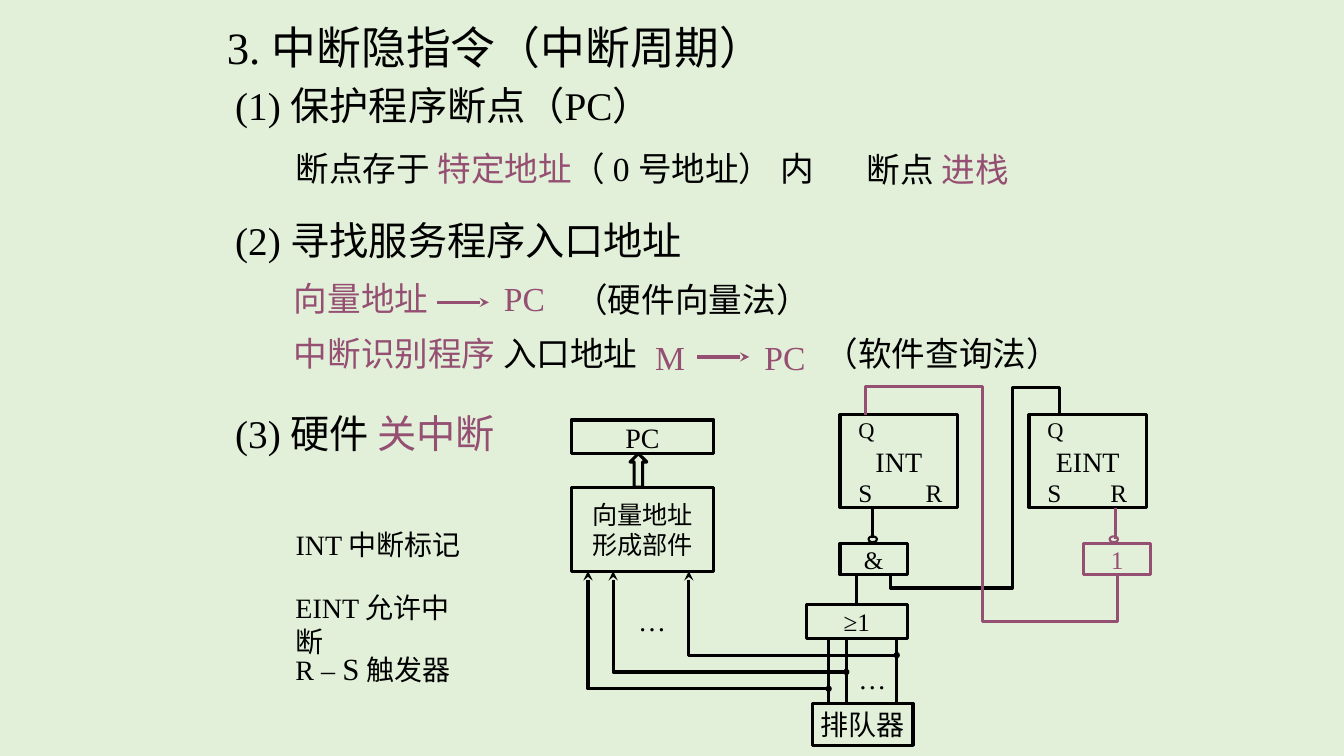
from lxml.etree import SubElement
from pptx import Presentation
from pptx.dml.color import RGBColor
from pptx.enum.shapes import MSO_CONNECTOR as Link, MSO_SHAPE as Shape
from pptx.enum.text import MSO_ANCHOR as Anchor, MSO_AUTO_SIZE as Fit, PP_ALIGN as Align
from pptx.oxml.ns import qn
from pptx.util import Inches, Pt

COLUMNS, ROWS = 160, 90
CELL = Inches(7.5) / ROWS
INK, ACCENT, PAPER = "000000", "954F72", "E2F0D9"
INSET = Inches(0.05)
HEADING = dict(vertical_anchor=Anchor.MIDDLE, word_wrap=False, auto_size=Fit.NONE,
               margin_left=0, margin_right=0, margin_top=INSET, margin_bottom=INSET)
CENTRED = HEADING | dict(margin_top=0, margin_bottom=0)
LABEL = dict(word_wrap=False, auto_size=Fit.SHAPE_TO_FIT_TEXT)
WRAPPED = LABEL | dict(word_wrap=True)
ARROW = dict(type="stealth")
JUNCTION = dict(type="oval", w="sm", len="sm")


def rgb(value):
    return RGBColor.from_string(value)


def write(frame, layout, size, lines, align=Align.LEFT):
    for name, value in layout.items():
        setattr(frame, name, value)
    for index, line in enumerate(lines):
        paragraph = frame.add_paragraph() if index else frame.paragraphs[0]
        paragraph.alignment = align
        for words, ink, *own_size in line:
            run = paragraph.add_run()
            run.text = words
            for name, value in dict(name="Times New Roman", size=Pt((own_size or [size])[0])).items():
                setattr(run.font, name, value)
            run.font.color.rgb = rgb(ink)


deck = Presentation()
deck.slide_width, deck.slide_height = round(COLUMNS * CELL), round(ROWS * CELL)
slide = deck.slides.add_slide(deck.slide_layouts[5])
slide.background.fill.solid()
slide.background.fill.fore_color.rgb = rgb(PAPER)
shapes = slide.shapes

title = shapes.title
for side, cells in dict(left=27, top=2, width=79, height=7).items():
    setattr(title, side, round(cells * CELL))
write(title.text_frame, HEADING, 32, [[("3. 中断隐指令（中断周期）", INK)]])

texts = [
    ((28, 9, 79, 7), HEADING, 28, [("(1) 保护程序断点（PC）", INK)]),
    ((28, 25, 79, 7), HEADING, 28, [("(2) 寻找服务程序入口地址", INK)]),
    ((28, 47, 35, 9), HEADING, 28, [("(3) 硬件 ", INK), ("关中断", ACCENT)]),
    ((34, 17, 70, 6), WRAPPED, 24,
     [("断点存于 ", INK), ("特定地址", ACCENT), ("（ 0 号地址） 内", INK)]),
    ((102, 17.1, 28, 6), WRAPPED, 24, [("断点 ", INK), ("进栈", ACCENT)]),
    ((35, 32, 17, 7), HEADING, 24, [("向量地址", ACCENT)]),
    ((60, 32, 6, 7), HEADING, 24, [("PC", ACCENT)]),
    ((67.2, 32.6, 56, 6), WRAPPED, 24, [("（硬件向量法）", INK)]),
    ((35, 38.5, 42, 7), HEADING, 24, [("中断识别程序 ", ACCENT), ("入口地址", INK)]),
    ((78, 39, 6, 7), HEADING, 24, [("M", ACCENT)]),
    ((91, 39, 6, 7), HEADING, 24, [("PC", ACCENT)]),
    ((97, 39, 56, 6), WRAPPED, 24, [("（软件查询法）", INK)]),
    ((34, 62.2, 22.5, 5.2), WRAPPED, 20, [("INT 中断标记", INK)]),
    ((34, 69.7, 24, 5.2), WRAPPED, 20, [("EINT 允许中断", INK)]),
    ((34, 76.8, 21.1, 5.6), WRAPPED, 20, [("R – ", INK), ("S", INK, 22), (" 触发器", INK)]),
    ((74.8, 71.2, 5.8, 5.2), LABEL, 20, [("…", INK)]),
    ((101, 78.2, 5.8, 5.2), LABEL, 20, [("…", INK)]),
]
for register_left, reset_offset in [(100, 9), (122.5, 8.5)]:
    for pin, offset, top, size in [("Q", 1, 49, 16), ("S", 1, 56.2, 18), ("R", reset_offset, 56.2, 18)]:
        texts.append(((register_left + offset, top, 4.5, 4.7), LABEL, size, [(pin, INK)]))

blocks = [
    (Shape.RECTANGLE, (68, 50, 17, 4), INK, 20, ["PC"]),
    (Shape.RECTANGLE, (68, 58, 17, 10), INK, 18, ["向量地址", "形成部件"]),
    (Shape.RECTANGLE, (100, 49.4, 14, 11), INK, 20, ["INT"]),
    (Shape.RECTANGLE, (122.5, 49.4, 14, 11), INK, 20, ["EINT"]),
    (Shape.RECTANGLE, (100, 64.7, 8, 3.7), INK, 18, ["&"]),
    (Shape.RECTANGLE, (129, 64.7, 8, 3.7), ACCENT, 18, ["1"]),
    (Shape.RECTANGLE, (96.7, 83.75, 12, 5), INK, 20, ["排队器"]),
    (Shape.UP_ARROW, (75, 54, 2, 4), INK, 18, []),
    (Shape.OVAL, (103.4, 63.85, 1, 0.7), INK, 18, []),
    (Shape.OVAL, (132.1, 63.85, 1, 0.7), ACCENT, 18, []),
    (Shape.RECTANGLE, (96, 72, 12, 4), INK, 18, ["≥1"]),
]
for outline, place, ink, size, lines in blocks:
    block = shapes.add_shape(outline, *[round(cells * CELL) for cells in place])
    block.shadow.inherit = False
    block.fill.background()
    block.line.color.rgb = rgb(ink)
    block.line.width = Pt(1.5 if outline == Shape.OVAL else 2.25)
    write(block.text_frame, CENTRED, size, [[(line, ink)] for line in lines], Align.CENTER)
or_gate = block

wires = [
    ([(52, 36), (58.2, 36)], ACCENT, None, ARROW),
    ([(83, 42.5), (89.2, 42.5)], ACCENT, None, ARROW),
    ([(103.9, 60.4), (103.9, 64.1)], INK, None, None),
    ([(132.8, 60.5), (132.8, 64.2)], ACCENT, None, None),
    ([(106, 68.4), (106, 70), (120.5, 70), (120.5, 46.1), (126.1, 46.1), (126.1, 49.4)], INK, None, None),
    ([(133, 68.5), (133, 74), (117, 74), (117, 46), (103, 46), (103, 49.4)], ACCENT, None, None),
]
for request, (source, queue_column) in enumerate([(82, 106.75), (73, 100.75), (70, 98.65)]):
    row = 78 + 2 * request
    wires.append(([(source, 68), (source, row), (queue_column, row)], INK, ARROW, JUNCTION))
    wires.append(([(queue_column, 76), (queue_column, 83.75)], INK, None, None))
wires.append(([(102, 68.4), (102, 72)], INK, None, None))

for route, ink, head, tail in wires:
    points = [(round(x * CELL), round(y * CELL)) for x, y in route]
    if len(points) == 2:
        wire = shapes.add_connector(Link.STRAIGHT, *points[0], *points[1])
    else:
        builder = shapes.build_freeform(*points[0])
        builder.add_line_segments(points[1:], close=False)
        wire = builder.convert_to_shape()
        wire.fill.background()
    wire.line.color.rgb = rgb(ink)
    wire.line.width = Pt(2.25)
    properties = wire._element.spPr
    for tag, ending in [("a:headEnd", head), ("a:tailEnd", tail)]:
        if ending:
            SubElement(properties.find(qn("a:ln")), qn(tag), ending)
    SubElement(properties, qn("a:effectLst"))
wire.end_connect(or_gate, 0)

for place, layout, size, line in texts:
    box = shapes.add_textbox(*[round(cells * CELL) for cells in place])
    write(box.text_frame, layout, size, [line])

deck.save("out.pptx")
